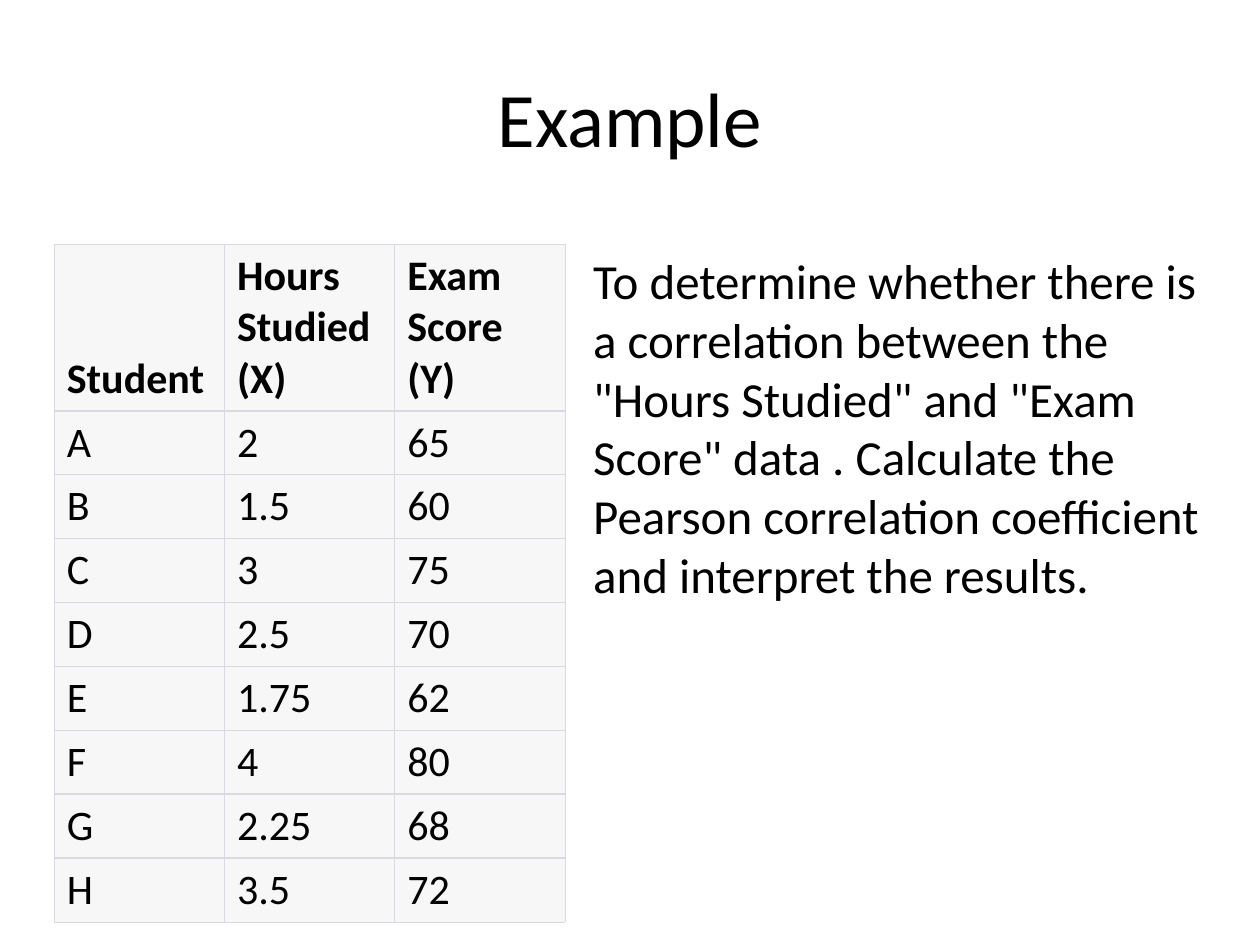
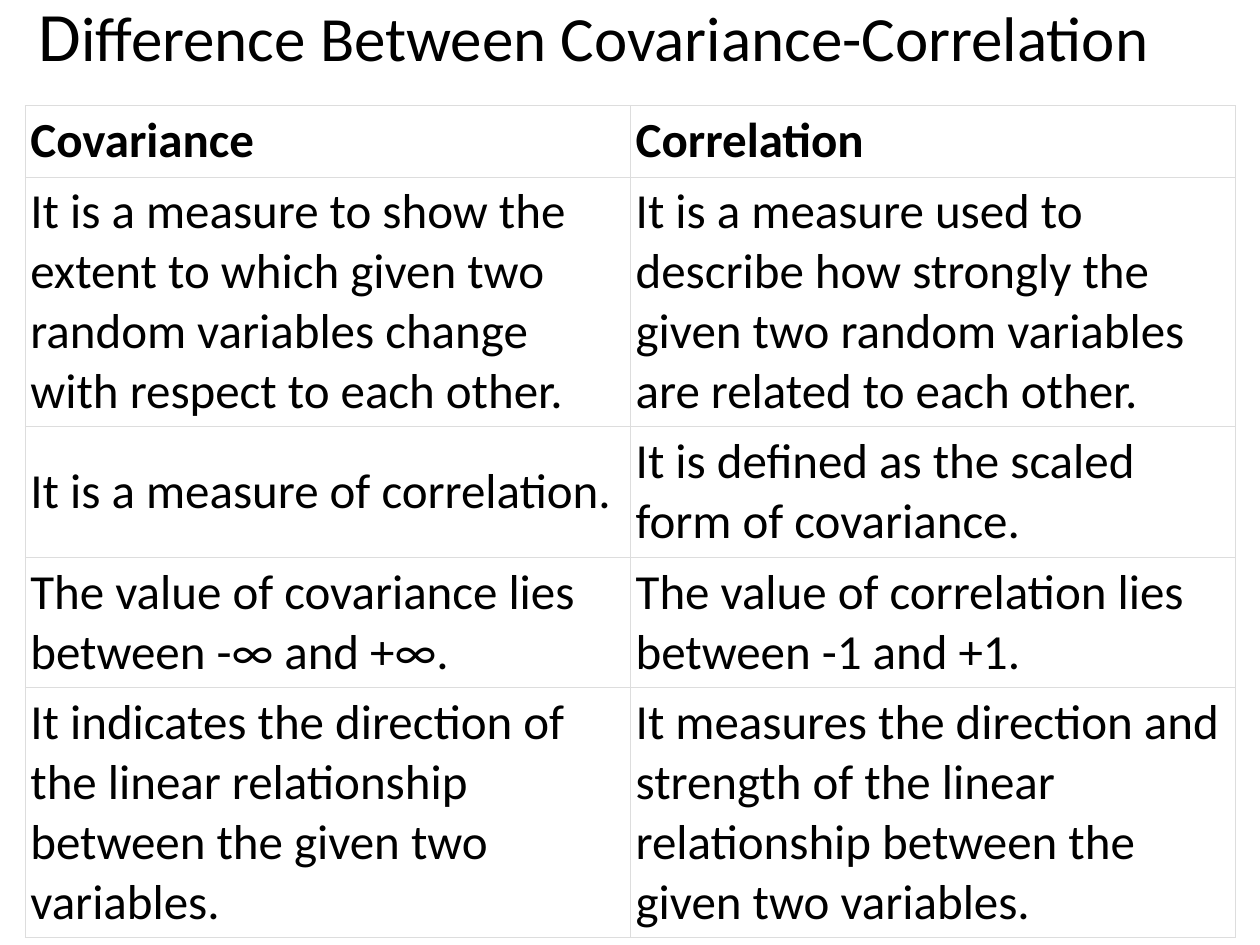
from lxml import etree
from pptx import Presentation
from pptx import util as u
from pptx.dml import color
from pptx.enum import text
from pptx.oxml import ns

STUDENTS = [
    ("Student", "Hours Studied (X)", "Exam Score (Y)"),
    ("A", "2", "65"),
    ("B", "1.5", "60"),
    ("C", "3", "75"),
    ("D", "2.5", "70"),
    ("E", "1.75", "62"),
    ("F", "4", "80"),
    ("G", "2.25", "68"),
    ("H", "3.5", "72"),
]
DIFFERENCES = [
    ("Covariance", "Correlation"),
    ("It is a measure to show the extent to which given two random variables "
     "change with respect to each other.",
     "It is a measure used to describe how strongly the given two random "
     "variables are related to each other."),
    ("It is a measure of correlation.",
     "It is defined as the scaled form of covariance."),
    ("The value of covariance lies between -∞ and +∞.",
     "The value of correlation lies between -1 and +1."),
    ("It indicates the direction of the linear relationship between the given "
     "two variables.",
     "It measures the direction and strength of the linear relationship "
     "between the given two variables."),
]
TASK = ('To determine whether there is a correlation between the "Hours Studied" '
        'and "Exam Score" data . Calculate the Pearson correlation coefficient '
        'and interpret the results.')


def rgb(value):
    return color.RGBColor.from_string(value)


class Deck:
    FONT = "Calibri"
    INK = "000000"

    def __init__(self):
        self.prs = Presentation()
        self.prs.slide_width, self.prs.slide_height = u.Pt(720), u.Pt(540)
        self.slide = None

    def style(self, run, size, bold=False):
        run.font.name = self.FONT
        run.font.size = u.Pt(size)
        run.font.bold = bold
        run.font.color.rgb = rgb(self.INK)

    def titled_slide(self, parts, box):
        self.slide = self.prs.slides.add_slide(self.prs.slide_layouts[5])
        title = self.slide.shapes.title
        title.left, title.top, title.width, title.height = map(u.Pt, box)
        frame = title.text_frame
        frame.auto_size = text.MSO_AUTO_SIZE.NONE
        frame.vertical_anchor = text.MSO_ANCHOR.MIDDLE
        paragraph = frame.paragraphs[0]
        paragraph.alignment = text.PP_ALIGN.CENTER
        for words, size in parts:
            run = paragraph.add_run()
            run.text = words
            self.style(run, size)

    def paragraph_box(self, words, box, size):
        frame = self.slide.shapes.add_textbox(*map(u.Pt, box)).text_frame
        frame.word_wrap = True
        frame.auto_size = text.MSO_AUTO_SIZE.SHAPE_TO_FIT_TEXT
        frame.text = words
        paragraph = frame.paragraphs[0]
        paragraph.line_spacing = u.Pt(size * 1.2)
        self.style(paragraph.runs[0], size)

    def table(self, rows, corner, column_width, heights, size, fill, border,
              rule=0.5, inset=None, header_anchor=text.MSO_ANCHOR.MIDDLE):
        columns = len(rows[0])
        grid = self.slide.shapes.add_table(
            len(rows), columns, *map(u.Pt, corner),
            u.Pt(column_width * columns), u.Pt(sum(heights))).table
        grid.first_row = grid.horz_banding = False
        for column in grid.columns:
            column.width = u.Pt(column_width)
        for r, (values, height) in enumerate(zip(rows, heights)):
            grid.rows[r].height = u.Pt(height)
            top = 0.5 if r == 0 else rule
            bottom = 0.5 if r == len(rows) - 1 else rule
            for c, value in enumerate(values):
                cell = grid.cell(r, c)
                cell.text = value
                cell.vertical_anchor = header_anchor if r == 0 else text.MSO_ANCHOR.MIDDLE
                if inset is not None:
                    cell.margin_left = cell.margin_right = u.Pt(inset)
                    cell.margin_top = cell.margin_bottom = u.Pt(inset)
                cell.fill.solid()
                cell.fill.fore_color.rgb = rgb(fill)
                self.style(cell.text_frame.paragraphs[0].runs[0], size, bold=r == 0)
                self.borders(cell, border, (0.5, 0.5, top, bottom))

    def borders(self, cell, border, widths):
        properties = cell._tc.get_or_add_tcPr()
        for i, (side, width) in enumerate(zip("LRTB", widths)):
            line = etree.Element(ns.qn(f"a:ln{side}"), w=str(u.Pt(width)))
            solid = etree.SubElement(line, ns.qn("a:solidFill"))
            etree.SubElement(solid, ns.qn("a:srgbClr"), val=border)
            properties.insert(i, line)


def main():
    deck = Deck()

    deck.titled_slide([("Example", 44)], (36, 21.6, 648, 90))
    deck.table(STUDENTS, (31, 139.7), 97.3, [94.6] + [36.5] * 8, size=24,
               fill="F7F7F8", border="D9D9E3", rule=1,
               header_anchor=text.MSO_ANCHOR.BOTTOM)
    deck.paragraph_box(TASK, (331.9, 139.7, 362, 244.8), 28)

    deck.titled_slide([("D", 39.6), ("ifference Between Covariance-Correlation", 36)],
                      (8.6, -13.7, 661.7, 65.5))
    deck.table(DIFFERENCES, (14.4, 60.4), 345.9, [40.7, 142.8, 74.5, 74.5, 142.8],
               size=28, fill="FFFFFF", border="DDDDDD", inset=3)

    deck.prs.save("out.pptx")


if __name__ == "__main__":
    main()
